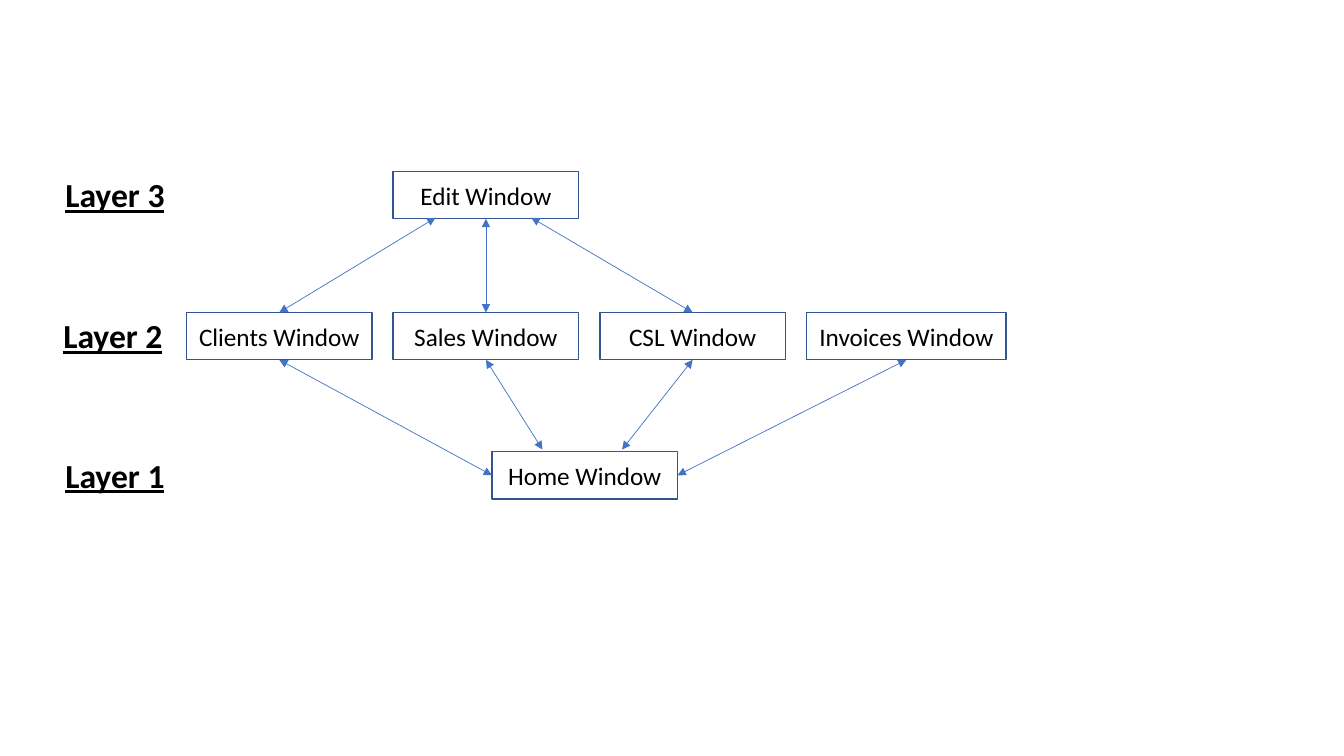
import pptx
import pptx.dml.color
import pptx.enum.shapes
import pptx.enum.text
import pptx.oxml
import pptx.oxml.ns
import pptx.util

Inches = pptx.util.Inches
Pt = pptx.util.Pt

COLOURS = {"border": "325491", "arrow": "4472C4", "text": "000000"}
FONT = "Calibri"
BOX_WIDTH, BOX_HEIGHT = 1.84, 0.47
FIRST_LEFT, COLUMN_STEP = 1.85, 2.05
TOP, BOTTOM = 0, 2
LEFT, RIGHT = 1, 3

LAYERS = [
    ("Layer 3", 0.55, 1.7),
    ("Layer 2", 0.53, 3.1),
    ("Layer 1", 0.55, 4.48),
]
LAYER_TOPS = {name: top for name, left, top in LAYERS}

WINDOWS = [
    ("Edit Window", "Layer 3", FIRST_LEFT + COLUMN_STEP, BOX_WIDTH),
    ("Clients Window", "Layer 2", FIRST_LEFT, BOX_WIDTH),
    ("Sales Window", "Layer 2", FIRST_LEFT + COLUMN_STEP, BOX_WIDTH),
    ("CSL Window", "Layer 2", FIRST_LEFT + 2 * COLUMN_STEP, BOX_WIDTH),
    ("Invoices Window", "Layer 2", FIRST_LEFT + 3 * COLUMN_STEP, 1.98),
    ("Home Window", "Layer 1", 4.88, BOX_WIDTH),
]

JOINED_ARROWS = [
    ("Sales Window", TOP, "Edit Window", BOTTOM),
    ("Home Window", LEFT, "Clients Window", BOTTOM),
    ("Home Window", RIGHT, "Invoices Window", BOTTOM),
]
PARTLY_JOINED_ARROWS = [
    ("Clients Window", TOP, 4.32, 2.16),
    ("CSL Window", TOP, 5.27, 2.16),
    ("Sales Window", BOTTOM, 5.38, 4.46),
    ("CSL Window", BOTTOM, 6.17, 4.46),
]


def colour(name):
    return pptx.dml.color.RGBColor.from_string(COLOURS[name])


def write(shape, text, size, heading=False):
    para = shape.text_frame.paragraphs[0]
    if not heading:
        para.alignment = pptx.enum.text.PP_ALIGN.CENTER
    span = para.add_run()
    span.text = text
    span.font.name = FONT
    span.font.size = Pt(size)
    span.font.color.rgb = colour("text")
    if heading:
        span.font.bold = True
        span.font.underline = True


def add_layer_label(page, name, left, top):
    label = page.shapes.add_textbox(
        Inches(left), Inches(top - 0.02), Inches(1.33), Inches(0.5))
    label.text_frame.word_wrap = True
    write(label, name, 24, heading=True)


def add_window(page, name, layer, left, width):
    box = page.shapes.add_shape(
        pptx.enum.shapes.MSO_SHAPE.RECTANGLE,
        Inches(left), Inches(LAYER_TOPS[layer]), Inches(width), Inches(BOX_HEIGHT))
    box.shadow.inherit = False
    box.fill.background()
    box.line.color.rgb = colour("border")
    box.line.width = Pt(1)
    box.text_frame.word_wrap = True
    box.text_frame.vertical_anchor = pptx.enum.text.MSO_ANCHOR.MIDDLE
    write(box, name, 18)
    return box


def add_arrow(page, box, side, x=0, y=0):
    arrow = page.shapes.add_connector(
        pptx.enum.shapes.MSO_CONNECTOR.STRAIGHT, 0, 0, Inches(x), Inches(y))
    arrow.begin_connect(box, side)
    arrow.line.color.rgb = colour("arrow")
    arrow.line.width = Pt(0.5)
    line = arrow.line._get_or_add_ln()
    for end in ("a:headEnd", "a:tailEnd"):
        pptx.oxml.xmlchemy.OxmlElement(end)
        tip = pptx.oxml.xmlchemy.OxmlElement(end)
        tip.set("type", "triangle")
        line.append(tip)
    arrow._element.spPr.append(pptx.oxml.xmlchemy.OxmlElement("a:effectLst"))
    return arrow


def main():
    deck = pptx.Presentation()
    deck.slide_width = Inches(13.33)
    deck.slide_height = Inches(7.5)
    page = deck.slides.add_slide(deck.slide_layouts[6])

    for name, left, top in LAYERS:
        add_layer_label(page, name, left, top)
    boxes = {window[0]: add_window(page, *window) for window in WINDOWS}

    for start, start_side, finish, finish_side in JOINED_ARROWS:
        arrow = add_arrow(page, boxes[start], start_side)
        arrow.end_connect(boxes[finish], finish_side)
    for start, side, x, y in PARTLY_JOINED_ARROWS:
        add_arrow(page, boxes[start], side, x, y)

    deck.save("out.pptx")


if __name__ == "__main__":
    main()
